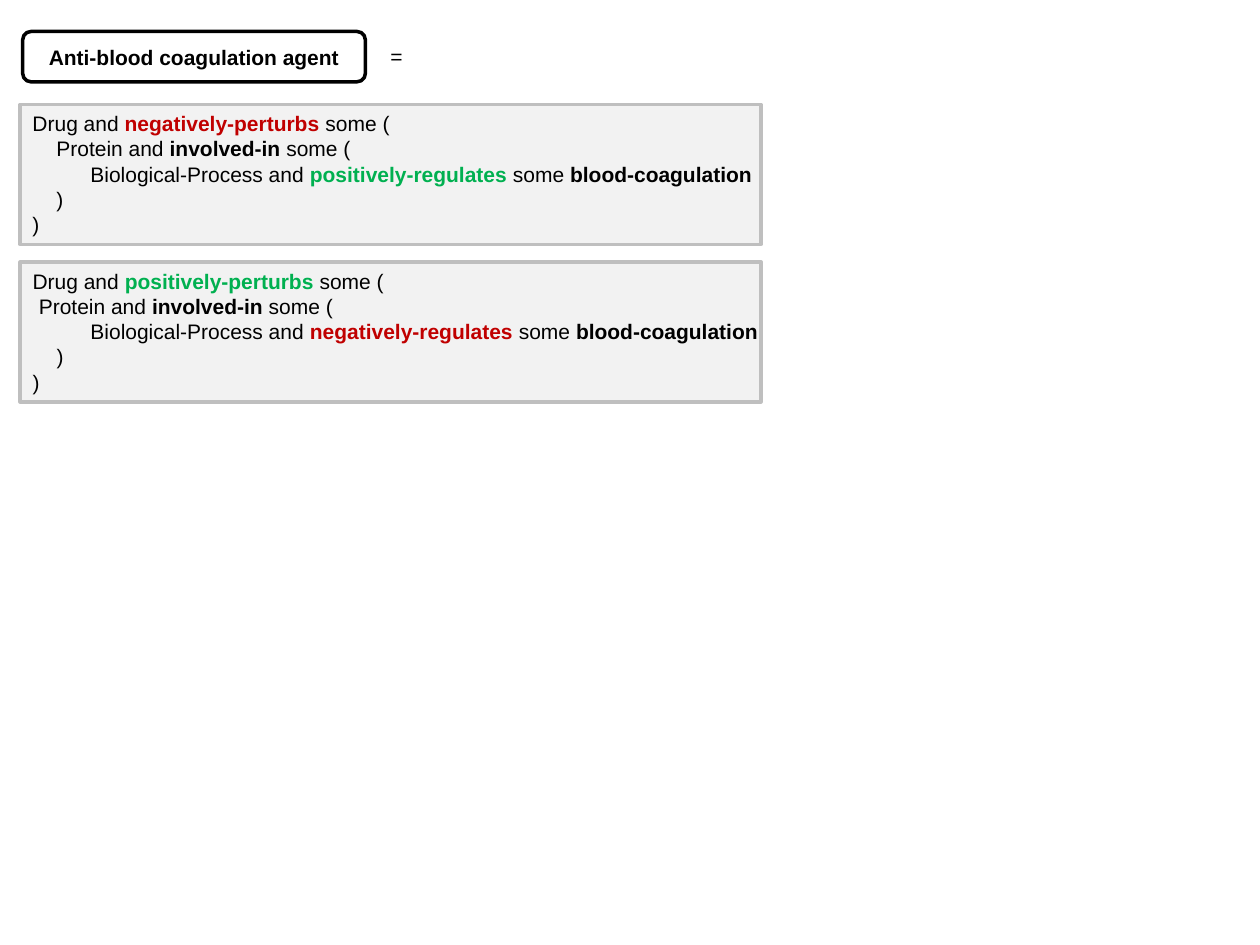
from pptx import Presentation
from pptx.dml.color import RGBColor
from pptx.enum.shapes import MSO_SHAPE as Shape
from pptx.enum.text import MSO_ANCHOR as Anchor, MSO_AUTO_SIZE as AutoSize, PP_ALIGN as Align
from pptx.util import Inches, Pt

BLACK = RGBColor(0x00, 0x00, 0x00)
WHITE = RGBColor(0xFF, 0xFF, 0xFF)
PANEL_FILL = RGBColor(0xF2, 0xF2, 0xF2)
PANEL_LINE = RGBColor(0xBF, 0xBF, 0xBF)
RED = RGBColor(0xC0, 0x00, 0x00)
GREEN = RGBColor(0x00, 0xB0, 0x50)

LEFT, PANEL_TOP, PANEL_STEP = 0.16, 0.83, 1.25
PANEL_WIDTH, PANEL_HEIGHT = 5.88, 1.11
INNER, DEEP = 0.19, 0.46

presentation = Presentation()
presentation.slide_width, presentation.slide_height = Inches(10), Inches(7.5)
slide = presentation.slides.add_slide(presentation.slide_layouts[6])


def add_box(kind, place, fill, line):
    """Add a filled preset shape with a 2 pt outline."""
    shape = slide.shapes.add_shape(kind, *map(Inches, place))
    shape.shadow.inherit = False
    shape.fill.solid()
    shape.fill.fore_color.rgb = fill
    shape.line.color.rgb = line
    shape.line.width = Pt(2)
    return shape


def write_line(paragraph, runs, indent=0):
    """Write (text, colour) runs; a colour of None means plain black."""
    if indent:
        properties = paragraph._p.get_or_add_pPr()
        properties.set("marL", str(Inches(indent)))
        properties.set("indent", "0")
    for text, color in runs:
        run = paragraph.add_run()
        run.text = text
        run.font.name = "Arial"
        run.font.size = Pt(12)
        run.font.bold = color is not None
        run.font.color.rgb = color or BLACK


# Each definition: drug relation, its colour, process relation, its colour,
# indent of the protein line, width of the text
definitions = [
    ("negatively-perturbs", RED, "positively-regulates", GREEN, INNER, 5.97),
    ("positively-perturbs", GREEN, "negatively-regulates", RED, 0.05, 6.05),
]
for row, definition in enumerate(definitions):
    perturbs, drug_color, regulates, process_color, protein_indent, width = definition
    top = PANEL_TOP + row * PANEL_STEP
    add_box(Shape.RECTANGLE, (LEFT, top, PANEL_WIDTH, PANEL_HEIGHT), PANEL_FILL, PANEL_LINE)
    text_box = slide.shapes.add_textbox(*map(Inches, (LEFT, top, width, PANEL_HEIGHT)))
    frame = text_box.text_frame
    frame.word_wrap = True
    frame.auto_size = AutoSize.SHAPE_TO_FIT_TEXT
    lines = [
        ([("Drug and ", None), (perturbs, drug_color), (" some (", None)], 0),
        ([("Protein and ", None), ("involved-in", BLACK), (" some (", None)], protein_indent),
        ([("Biological-Process and ", None), (regulates, process_color),
          (" some ", None), ("blood-coagulation", BLACK)], DEEP),
        ([(")", None)], INNER),
        ([(")", None)], 0),
    ]
    for number, (runs, indent) in enumerate(lines):
        paragraph = frame.add_paragraph() if number else frame.paragraphs[0]
        write_line(paragraph, runs, indent)

# Defined term and equals sign
term = add_box(Shape.ROUNDED_RECTANGLE, (0.18, 0.25, 2.72, 0.4), WHITE, BLACK)
term.text_frame.word_wrap = True
term.text_frame.vertical_anchor = Anchor.MIDDLE
term_paragraph = term.text_frame.paragraphs[0]
term_paragraph.alignment = Align.CENTER
write_line(term_paragraph, [("Anti-blood coagulation agent", BLACK)])

equals = slide.shapes.add_textbox(*map(Inches, (3, 0.3, 0.33, 0.3)))
equals.text_frame.word_wrap = True
equals.text_frame.auto_size = AutoSize.SHAPE_TO_FIT_TEXT
write_line(equals.text_frame.paragraphs[0], [("=", None)])

presentation.save("out.pptx")
